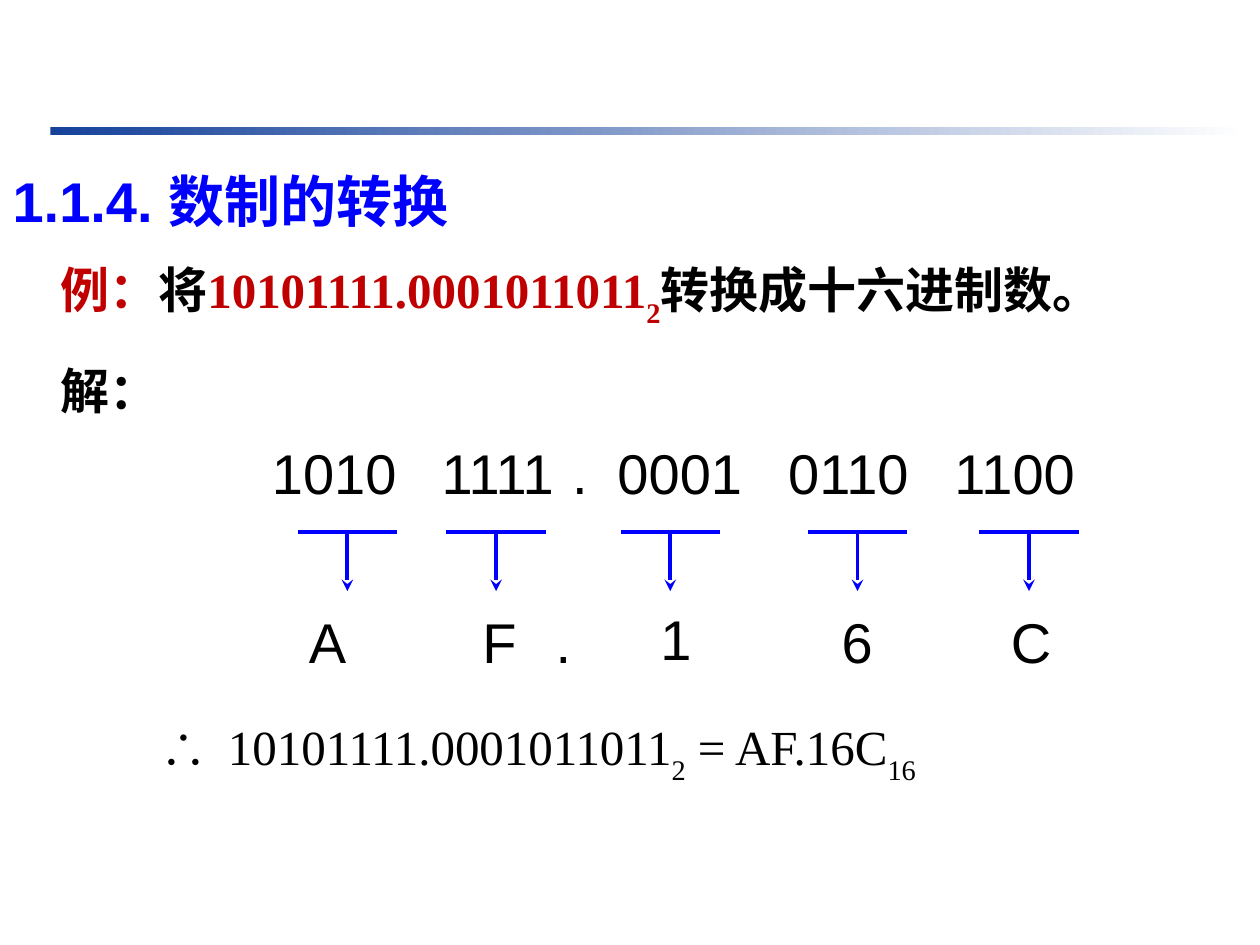
import pptx
import pptx.dml.color
import pptx.enum.dml
import pptx.enum.shapes
import pptx.enum.text
import pptx.oxml
import pptx.oxml.ns
import pptx.util

Pt = pptx.util.Pt
ALIGN = pptx.enum.text.PP_ALIGN
ANCHOR = pptx.enum.text.MSO_ANCHOR
AUTO = pptx.enum.text.MSO_AUTO_SIZE
STRAIGHT = pptx.enum.shapes.MSO_CONNECTOR.STRAIGHT

THEME = {
    "blue": "0000FF", "red": "C00000", "black": "000000",
    "bar": "16429A", "white": "FFFFFF",
    "sans": "Arial", "serif": "Times New Roman",
    "large": 32, "medium": 28, "line": 2.25,
}


def style(face, size, color, bold=False):
    return {"name": THEME[face], "size": Pt(THEME[size]), "bold": bold, "color": THEME[color]}


HEADING = style("sans", "large", "blue", True)
LABEL = style("sans", "medium", "red", True)
BODY = style("serif", "medium", "black", True)
NUMBER = style("serif", "medium", "red", True)
DIGITS = style("sans", "large", "black")
RESULT = style("serif", "medium", "black")

# Each span: text, style, and True where it is a subscript
TITLE = [("1.1.4. 数制的转换", HEADING)]
QUESTION = [("例：", LABEL), ("将", BODY), ("10101111.0001011011", NUMBER),
            ("2", NUMBER, True), ("转换成十六进制数。", BODY)]
SOLUTION = [("解：", BODY)]
ANSWER = [("∴\t10101111.0001011011", RESULT), ("2", RESULT, True),
          (" = AF.16C", RESULT), ("16", RESULT, True)]
NIBBLES = ["1010", "1111", ".", "0001", "0110", "1100"]
NIBBLE_TABS = [97, 171.5, 197.5, 295, 390]

# Hex digit, its centre, its top
HEX_DIGITS = [("A", 187.2, 343.4), ("F", 285.5, 343.4), (".", 322, 343.4),
              ("1", 386.3, 342), ("6", 489.8, 343.4), ("C", 588.6, 343.4)]
BRACKET_CENTRES = [198.5, 283.5, 383, 490, 588]
BRACKET_TOP, BRACKET_WIDTH, ARROW_LENGTH = 303.8, 56.8, 34


def rgb(color):
    return pptx.dml.color.RGBColor.from_string(color)


def fill_para(para, spans, **format_values):
    for name, value in format_values.items():
        setattr(para, name, value)
    for text, look, *subscript in spans:
        span = para.add_run()
        span.text = text
        for name, value in look.items():
            if name == "color":
                span.font.color.rgb = rgb(value)
            else:
                setattr(span.font, name, value)
        if subscript:
            span.font._element.set("baseline", "-30000")


def set_tabs(para, stops):
    tabs = pptx.oxml.parse_xml(f"<a:tabLst {pptx.oxml.ns.nsdecls('a')}/>")
    for stop in stops:
        tab = tabs.makeelement(pptx.oxml.ns.qn("a:tab"), {"pos": str(Pt(stop)), "algn": "l"})
        tabs.append(tab)
    para._p.get_or_add_pPr().append(tabs)


def place(box, left, top, width, height):
    for name, value in zip(("left", "top", "width", "height"), (left, top, width, height)):
        setattr(box, name, Pt(value))


def add_text(page, area, spans, alignment, wrap=True):
    box = page.shapes.add_textbox(*map(Pt, area))
    box.text_frame.word_wrap = wrap
    para = box.text_frame.paragraphs[0]
    fill_para(para, spans, alignment=alignment)
    return box, para


def add_line(group, start, end, arrow=False):
    line = group.shapes.add_connector(STRAIGHT, *map(Pt, start + end))
    line.line.color.rgb = rgb(THEME["blue"])
    line.line.width = Pt(THEME["line"])
    if arrow:
        pen = line.line._get_or_add_ln()
        pen.append(pen.makeelement(pptx.oxml.ns.qn("a:tailEnd"), {"type": "stealth"}))
    properties = line._element.spPr
    properties.append(properties.makeelement(pptx.oxml.ns.qn("a:effectLst"), {}))


def add_bar(page):
    bar = page.shapes.add_shape(pptx.enum.shapes.MSO_SHAPE.RECTANGLE,
                                *map(Pt, (28.8, 72.4, 683.2, 5)))
    bar.shadow.inherit = False
    bar.line.fill.background()
    bar.fill.gradient()
    bar.fill.gradient_angle = 0
    for stop, color in zip(bar.fill.gradient_stops, ("bar", "white")):
        stop.color.rgb = rgb(THEME[color])


def add_bracket(page, centre):
    group = page.shapes.add_group_shape()
    half = BRACKET_WIDTH / 2
    add_line(group, (centre - half, BRACKET_TOP), (centre + half, BRACKET_TOP))
    add_line(group, (centre, BRACKET_TOP), (centre, BRACKET_TOP + ARROW_LENGTH), arrow=True)


def fill_placeholders(page):
    title, body = page.shapes.title, page.placeholders[1]
    place(title, 0, 89.3, 629.3, 50.4)
    place(body, 27.4, 144.7, 653.8, 378)
    for box, anchor in ((title, ANCHOR.MIDDLE), (body, ANCHOR.TOP)):
        frame = box.text_frame
        frame.word_wrap, frame.auto_size, frame.vertical_anchor = True, AUTO.NONE, anchor
    fill_para(title.text_frame.paragraphs[0], TITLE, alignment=ALIGN.LEFT)
    frame = body.text_frame
    for para, spans, gap in ((frame.paragraphs[0], QUESTION, 5.6),
                             (frame.add_paragraph(), SOLUTION, 18)):
        fill_para(para, spans, alignment=ALIGN.JUSTIFY, space_before=Pt(gap))
        properties = para._p.get_or_add_pPr()
        for name in ("marL", "indent"):
            properties.set(name, "0")
        properties.append(properties.makeelement(pptx.oxml.ns.qn("a:buNone"), {}))


def main():
    deck = pptx.Presentation()
    deck.slide_width, deck.slide_height = Pt(720), Pt(540)
    page = deck.slides.add_slide(deck.slide_layouts[1])

    add_bar(page)
    fill_placeholders(page)

    box, para = add_text(page, (148.3, 247, 476, 46), [("\t".join(NIBBLES), DIGITS)], ALIGN.LEFT)
    box.text_frame.margin_right = 0
    set_tabs(para, NIBBLE_TABS)

    for centre in BRACKET_CENTRES:
        add_bracket(page, centre)
    for digit, centre, top in HEX_DIGITS:
        add_text(page, (centre - 18, top, 36, 46), [(digit, DIGITS)], ALIGN.CENTER, wrap=False)

    box, para = add_text(page, (84.2, 406, 552, 41), ANSWER, ALIGN.JUSTIFY)
    set_tabs(para, [39])

    deck.save("out.pptx")


if __name__ == "__main__":
    main()
